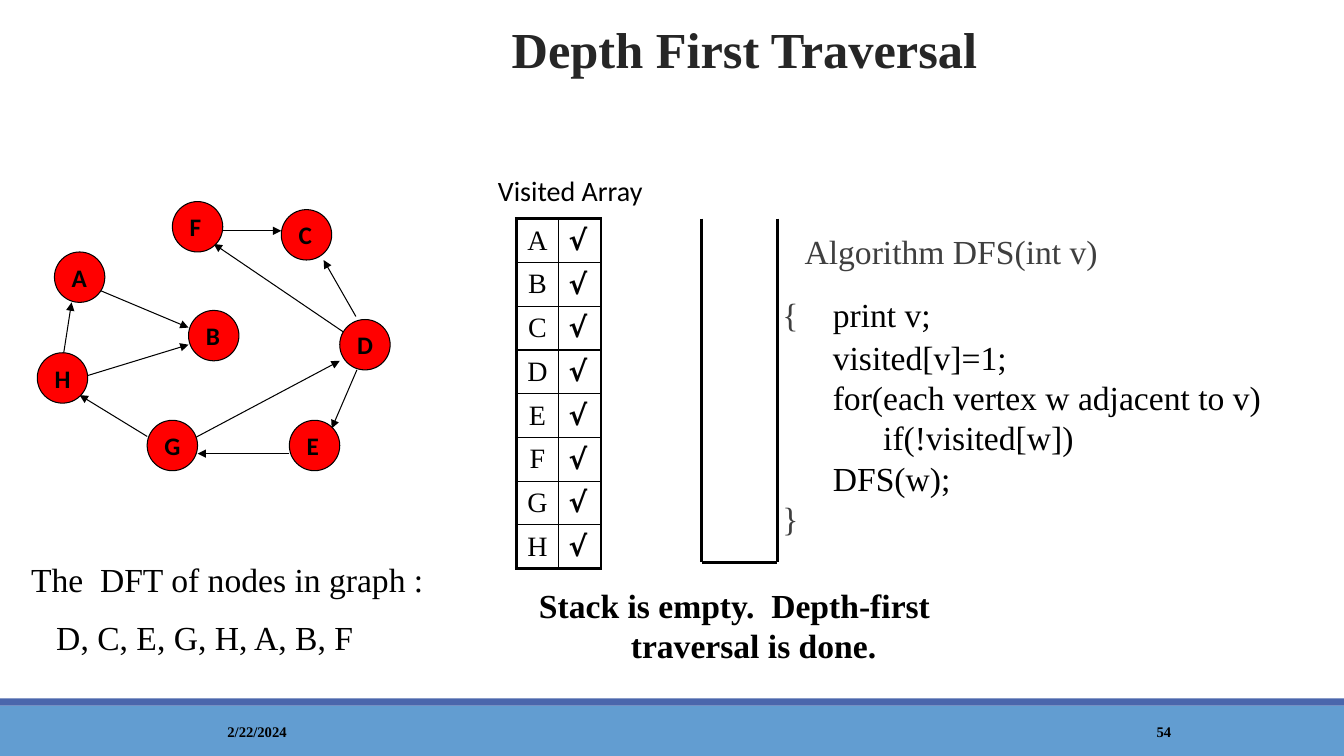
from lxml.etree import SubElement
from pptx import Presentation
from pptx.dml.color import RGBColor
from pptx.enum.shapes import MSO_CONNECTOR, MSO_SHAPE
from pptx.enum.text import MSO_ANCHOR, MSO_AUTO_SIZE, PP_ALIGN
from pptx.oxml import parse_xml
from pptx.oxml.ns import nsdecls, qn
from pptx.util import Inches, Pt

COLORS = {
    "black": "000000",
    "title": "262626",
    "code": "3F3F3F",
    "node": "FF0000",
    "footer": "629DD1",
    "stripe": "4A66AC",
}
SERIF = "Times New Roman"
NODE_SIZE = 0.5
NODES = {
    "A": (0.17, 0.5), "H": (0, 1.5), "B": (1.5, 1.08), "F": (1.34, 0),
    "E": (2.5, 2.17), "D": (3, 1.17), "C": (2.42, 0.08), "G": (1.09, 2.17),
}
EDGES = [
    (3.09, 1.33, 1.75, 0.42), (3.17, 1.67, 2.92, 2.25),
    (0.42, 1.75, 1.5, 1.42), (1.42, 2.42, 3, 1.58),
    (0.25, 1.58, 0.34, 1), (0.5, 0.83, 1.5, 1.25),
    (3.16, 1.14, 2.84, 0.58), (2.5, 2.5, 1.59, 2.5),
    (1.09, 2.33, 0.42, 1.92), (1.84, 0.29, 2.42, 0.29),
]


def rgb(name):
    return RGBColor.from_string(COLORS[name])


def write(paragraph, text, size=24, color="black", font=SERIF, bold=False,
          align=PP_ALIGN.LEFT, before=0, margin=0, indent=0, tabs=()):
    properties = paragraph._p.get_or_add_pPr()
    properties.set("marL", str(Inches(margin)))
    properties.set("indent", str(Inches(indent)))
    paragraph.alignment = align
    if before:
        paragraph.space_before = Pt(before)
    if tabs:
        tab_list = SubElement(properties, qn("a:tabLst"))
        for position in tabs:
            SubElement(tab_list, qn("a:tab"), pos=str(Inches(position)), algn="l")
    run = paragraph.add_run()
    run.text = text
    run.font.size = Pt(size)
    run.font.name = font
    run.font.bold = bold
    run.font.color.rgb = rgb(color)


def add_text_box(slide, left, top, width, height, anchor=MSO_ANCHOR.TOP):
    shape = slide.shapes.add_textbox(Inches(left), Inches(top), Inches(width), Inches(height))
    frame = shape.text_frame
    frame.word_wrap = True
    frame.vertical_anchor = anchor
    return frame


def add_filled_shape(slide, kind, left, top, width, height, color):
    shape = slide.shapes.add_shape(kind, Inches(left), Inches(top), Inches(width), Inches(height))
    shape.shadow.inherit = False
    shape.fill.solid()
    shape.fill.fore_color.rgb = rgb(color)
    shape.line.fill.background()
    return shape


def add_line(slide, start_x, start_y, end_x, end_y, width, arrow=False):
    connector = slide.shapes.add_connector(
        MSO_CONNECTOR.STRAIGHT, Inches(start_x), Inches(start_y), Inches(end_x), Inches(end_y))
    connector.line.color.rgb = rgb("black")
    connector.line.width = Pt(width)
    if arrow:
        SubElement(connector.line._get_or_add_ln(), qn("a:tailEnd"), type="triangle")
    SubElement(connector._element.spPr, qn("a:effectLst"))


def place_title(slide, left, top, width, height):
    title = slide.shapes.title
    title.left, title.top = Inches(left), Inches(top)
    title.width, title.height = Inches(width), Inches(height)
    frame = title.text_frame
    frame.auto_size = MSO_AUTO_SIZE.NONE
    frame.vertical_anchor = MSO_ANCHOR.TOP
    paragraph = frame.paragraphs[0]
    paragraph.line_spacing = 0.85
    write(paragraph, "Depth First Traversal", size=36, color="title", bold=True,
          align=PP_ALIGN.CENTER)


def add_footer(slide, left, top, width, height):
    add_filled_shape(slide, MSO_SHAPE.RECTANGLE, left, top, width, height, "footer")
    add_filled_shape(slide, MSO_SHAPE.RECTANGLE, left, top - 0.07, width, 0.07, "stripe")
    for text, offset, text_width in (("2/22/2024", 1.2, 2.7), ("54", 10.83, 1.43)):
        frame = add_text_box(slide, left + offset, top + 0.06, text_width, 0.4, MSO_ANCHOR.MIDDLE)
        write(frame.paragraphs[0], text, size=10.5, bold=True, align=PP_ALIGN.CENTER)


def add_graph(slide, left, top):
    for start_x, start_y, end_x, end_y in EDGES:
        add_line(slide, left + start_x, top + start_y, left + end_x, top + end_y, 0.75, arrow=True)
    for name, (x, y) in NODES.items():
        node = add_filled_shape(slide, MSO_SHAPE.OVAL, left + x, top + y,
                                NODE_SIZE, NODE_SIZE, "node")
        node.line.color.rgb = rgb("black")
        node.line.width = Pt(0.75)
        node.text_frame.vertical_anchor = MSO_ANCHOR.MIDDLE
        write(node.text_frame.paragraphs[0], name, size=18, font="Calibri", bold=True)


def set_borders(cell, widths):
    properties = cell._tc.get_or_add_tcPr()
    for position, (side, width) in enumerate(widths.items()):
        properties.insert(position, parse_xml(
            f'<a:ln{side} {nsdecls("a")} w="{Pt(width)}"><a:solidFill>'
            f'<a:srgbClr val="{COLORS["black"]}"/></a:solidFill></a:ln{side}>'))


def add_visited_array(slide, left, top, cell_size):
    heading = add_text_box(slide, left - 0.28, top - 0.5, 1.83, 0.43)
    write(heading.paragraphs[0], "Visited Array", size=20, font="Calibri")
    names = sorted(NODES)
    last = len(names) - 1
    table = slide.shapes.add_table(
        len(names), 2, Inches(left), Inches(top),
        Inches(2 * cell_size), Inches(len(names) * cell_size)).table
    table.first_row = False
    table.horz_banding = False
    for column in table.columns:
        column.width = Inches(cell_size)
    for row, name in enumerate(names):
        table.rows[row].height = Inches(cell_size)
        for column, text in enumerate((name, "√")):
            cell = table.cell(row, column)
            cell.vertical_anchor = MSO_ANCHOR.MIDDLE
            cell.fill.background()
            set_borders(cell, {
                "L": 2.25 if column == 0 else 1,
                "R": 2.25 if column == 1 else 1,
                "T": 2.25 if row == 0 else 1,
                "B": 2.25 if row == last else 1,
            })
            write(cell.text_frame.paragraphs[0], text, size=20, bold=column == 1,
                  font="DejaVu Sans" if column else SERIF,
                  align=PP_ALIGN.LEFT if column else PP_ALIGN.CENTER)


def add_stack(slide, left, top, width, height):
    right, bottom = left + width, top + height
    add_line(slide, left, top, left, bottom, 2.25)
    add_line(slide, right, top, right, bottom, 2.25)
    add_line(slide, left, bottom, right, bottom, 2.25)


def add_stack_note(slide, left, top, width, height):
    frame = add_text_box(slide, left, top, width, height)
    write(frame.paragraphs[0], "Stack is empty.  Depth-first traversal is done.", bold=True,
          align=PP_ALIGN.CENTER, margin=0.38, indent=-0.38)


def add_traversal_order(slide, left, top, width, height):
    frame = add_text_box(slide, left, top, width, height)
    write(frame.paragraphs[0], "The  DFT of nodes in graph :", margin=0.38, indent=-0.38)
    write(frame.add_paragraph(), "D, C, E, G, H, A, B, F", before=12, margin=0.63, indent=-0.38)


def add_algorithm(slide, left, top, width, height):
    frame = add_text_box(slide, left, top, width, height)
    frame.margin_left = frame.margin_right = 0
    write(frame.paragraphs[0], "Algorithm DFS(int v)", color="code", margin=0.22)
    opening = frame.add_paragraph()
    write(opening, "{", color="code", before=16, tabs=(1.07,))
    write(opening, "\tprint v;")
    write(frame.add_paragraph(), "\tvisited[v]=1;", before=2, tabs=(1, 2))
    for line in ("\tfor(each vertex w adjacent to v)", "\t\tif(!visited[w])", "\tDFS(w);"):
        write(frame.add_paragraph(), line, tabs=(1, 2))
    write(frame.add_paragraph(), "}", color="code")


def main():
    presentation = Presentation()
    presentation.slide_width = Inches(13.33)
    presentation.slide_height = Inches(7.5)
    slide = presentation.slides.add_slide(presentation.slide_layouts[5])
    add_footer(slide, 0, 7, 13.33, 0.5)
    place_title(slide, 1.72, 0.22, 11.33, 0.74)
    add_graph(slide, 0.37, 2)
    add_visited_array(slide, 5.12, 2.17, 0.42)
    add_stack(slide, 6.96, 2.17, 0.75, 3.41)
    add_stack_note(slide, 4.87, 5.75, 4.83, 0.91)
    add_traversal_order(slide, 0.21, 5.5, 4.5, 1.11)
    add_algorithm(slide, 7.76, 2.24, 5.41, 3.18)
    presentation.save("out.pptx")


if __name__ == "__main__":
    main()
